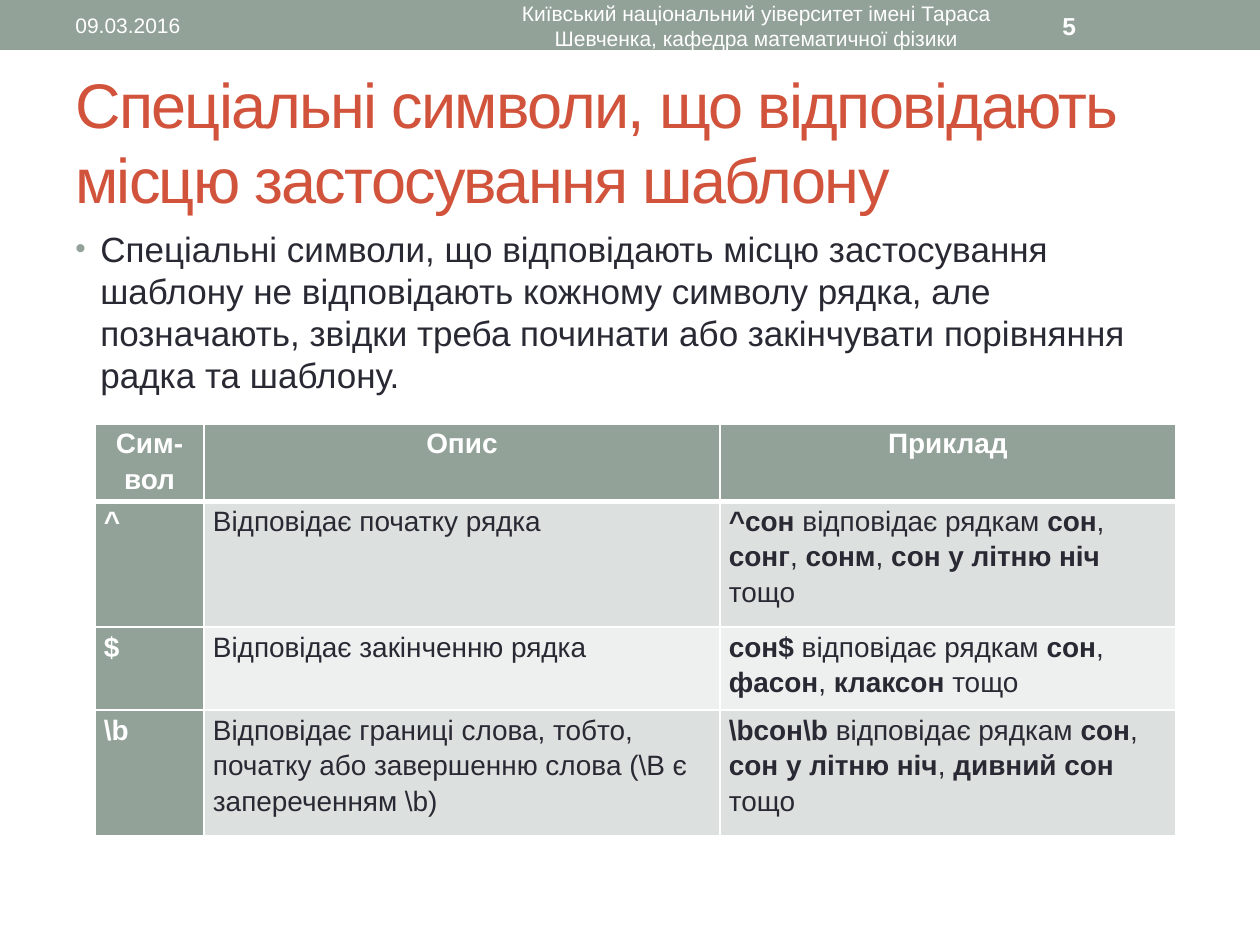
import pptx
import pptx.dml.color
import pptx.enum.shapes
import pptx.enum.text
import pptx.oxml.ns
import pptx.util
import lxml.etree

RGB = pptx.dml.color.RGBColor
SAGE = RGB(0x93, 0xA2, 0x99)
RUST = RGB(0xD2, 0x53, 0x3C)
INK = RGB(0x29, 0x29, 0x34)
WHITE = RGB(0xFF, 0xFF, 0xFF)
BANDS = [RGB(0xDC, 0xE0, 0xDE), RGB(0xEE, 0xF0, 0xEF)]
SCALE = 914400 / 126
ALIGN = pptx.enum.text.PP_ALIGN
ANCHOR = pptx.enum.text.MSO_ANCHOR

HEADS = ["Сим-вол", "Опис", "Приклад"]
ROWS = [
    ["^", "Відповідає початку рядка",
     "*^сон *відповідає рядкам *сон*, *сонг*, *сонм*, *сон у літню ніч *тощо"],
    ["$", "Відповідає закінченню рядка",
     "*сон$ *відповідає рядкам *сон*, *фасон*, *клаксон* тощо"],
    ["\\b", "Відповідає границі слова, тобто, початку або завершенню слова "
     "(\\B є запереченням \\b)",
     "*\\bсон\\b *відповідає рядкам *сон*, *сон у літню ніч*, *дивний сон *тощо"],
]


def px(num):
    """Turn px into EMU."""
    return pptx.util.Emu(round(num * SCALE))


def style(run, size, color, bold=False):
    """Set the font of one run."""
    run.font.name = "Arial"
    run.font.size = pptx.util.Pt(size)
    run.font.bold = bold
    run.font.color.rgb = color


def node(host, tag, **attrs):
    """Append a drawing element to its host."""
    return lxml.etree.SubElement(host, pptx.oxml.ns.qn(tag), attrs)


def label(slide, box, text, size, color, bold=False, align=ALIGN.LEFT, anchor=ANCHOR.MIDDLE):
    """Place a wrapped text box and return its paragraph."""
    frame = slide.shapes.add_textbox(*map(px, box)).text_frame
    frame.word_wrap = True
    frame.vertical_anchor = anchor
    frame.text = text
    para = frame.paragraphs[0]
    para.alignment = align
    style(para.runs[0], size, color, bold)
    return para


def banner(slide, box):
    """Draw the top band with date, department and slide number."""
    left, top, wide, high = box
    band = slide.shapes.add_shape(pptx.enum.shapes.MSO_SHAPE.RECTANGLE, *map(px, box))
    band.shadow.inherit = False
    band.fill.solid()
    band.fill.fore_color.rgb = SAGE
    band.line.fill.background()
    top, high = top + 3, high - 5
    label(slide, (left + 63, top, 399, high), "09.03.2016", 12, WHITE)
    label(slide, (left + 473, top, 567, high),
          "Київський національний уіверситет імені Тараса Шевченка, "
          "кафедра математичної фізики", 12, WHITE, align=ALIGN.CENTER)
    label(slide, (left + 1050, top, 147, high), "5", 14, WHITE, bold=True)


def title(slide, box):
    """Place the slide title with tight letter spacing."""
    para = label(slide, box, "Спеціальні символи, що відповідають місцю "
                 "застосування шаблону", 36, RUST)
    para.runs[0].font._element.set("spc", "-100")


def body(slide, box):
    """Place the bulleted paragraph."""
    para = label(slide, box, "Спеціальні символи, що відповідають місцю застосування "
                 "шаблону не відповідають кожному символу рядка, але позначають, "
                 "звідки треба починати або закінчувати порівняння радка та шаблону.",
                 20, INK, anchor=ANCHOR.TOP)
    para.space_before = pptx.util.Pt(4)
    props = para._p.get_or_add_pPr()
    props.set("marL", str(px(25)))
    props.set("indent", str(px(-25)))
    node(node(props, "a:buClr"), "a:srgbClr", val=str(SAGE))
    node(props, "a:buSzPct", val="85000")
    node(props, "a:buFont", typeface="Arial")
    node(props, "a:buChar", char="•")


def edges(cell, row):
    """Draw white borders, thick under the heading row."""
    props = cell._tc.get_or_add_tcPr()
    thick = {"a:lnT": row == 1, "a:lnB": row == 0}
    for side in ("a:lnL", "a:lnR", "a:lnT", "a:lnB"):
        width = pptx.util.Pt(3 if thick.get(side) else 1)
        line = node(props, side, w=str(width))
        node(node(line, "a:solidFill"), "a:srgbClr", val=str(WHITE))


def fill(cell, row, col, text):
    """Write and colour one table cell; asterisks toggle bold."""
    head = row == 0 or col == 0
    cell.margin_left = cell.margin_right = px(9)
    cell.margin_top = cell.margin_bottom = 0
    edges(cell, row)
    cell.fill.solid()
    cell.fill.fore_color.rgb = SAGE if head else BANDS[(row - 1) % 2]
    para = cell.text_frame.paragraphs[0]
    para.line_spacing = 1.15
    para.alignment = ALIGN.CENTER if row == 0 else ALIGN.LEFT
    for turn, part in enumerate(text.split("*")):
        if part:
            run = para.add_run()
            run.text = part
            style(run, 16, WHITE if head else INK, head or turn % 2 == 1)


def grid(slide, box):
    """Build the table of symbols."""
    data = [HEADS] + ROWS
    table = slide.shapes.add_table(len(data), len(HEADS), *map(px, box)).table
    for col, wide in zip(table.columns, (109, 516, 456)):
        col.width = px(wide)
    for row, high in zip(table.rows, (71, 126, 83, 126)):
        row.height = px(high)
    for row, texts in enumerate(data):
        for col, text in enumerate(texts):
            fill(table.cell(row, col), row, col, text)


def main():
    """Build and save the slide."""
    deck = pptx.Presentation()
    deck.slide_width, deck.slide_height = px(1260), px(945)
    slide = deck.slides.add_slide(deck.slide_layouts[6])
    banner(slide, (0, 0, 1260, 50))
    title(slide, (63, 73, 1134, 136))
    body(slide, (63, 221, 1134, 672))
    grid(slide, (95, 424, 1081, 406))
    deck.save("out.pptx")


if __name__ == "__main__":
    main()
